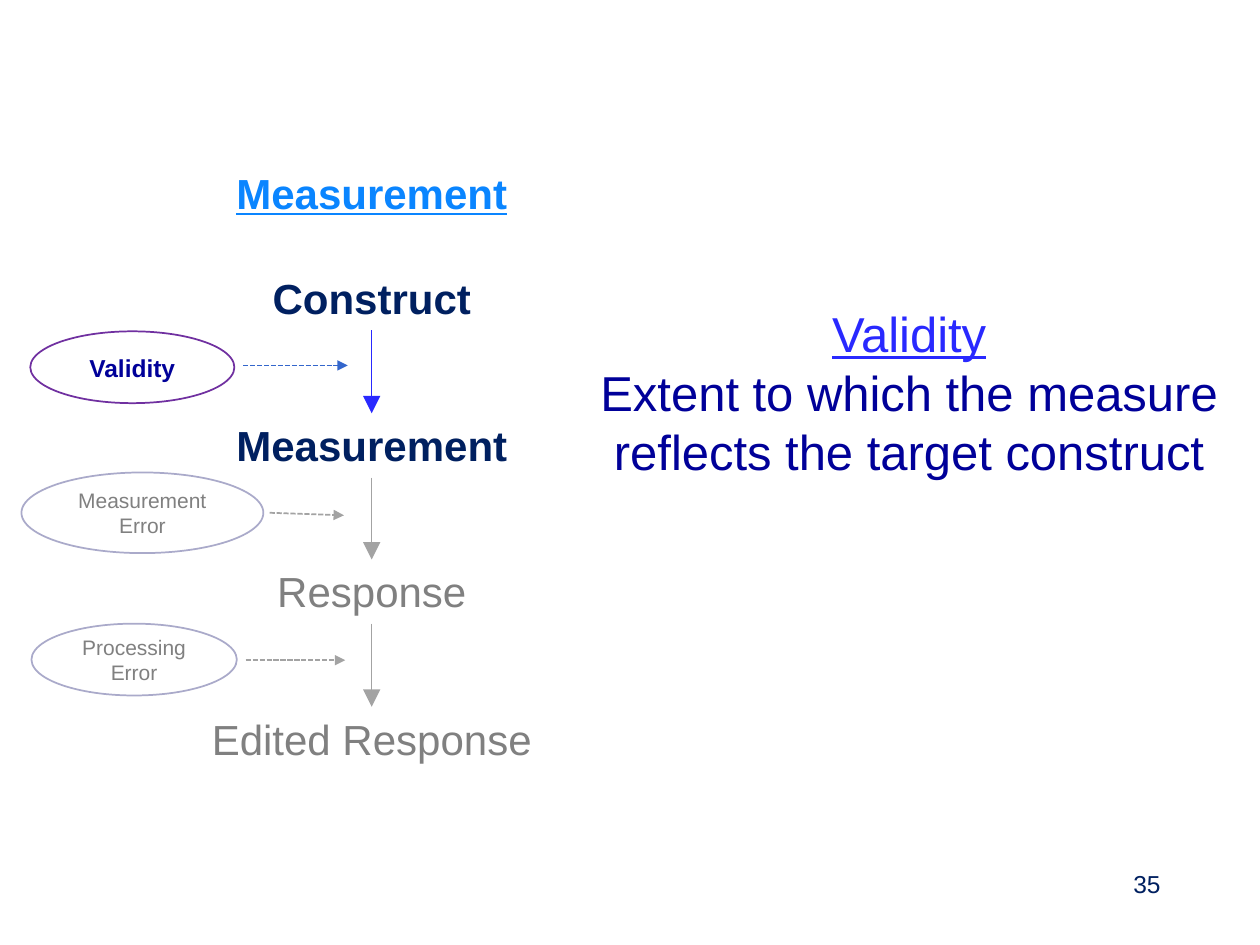
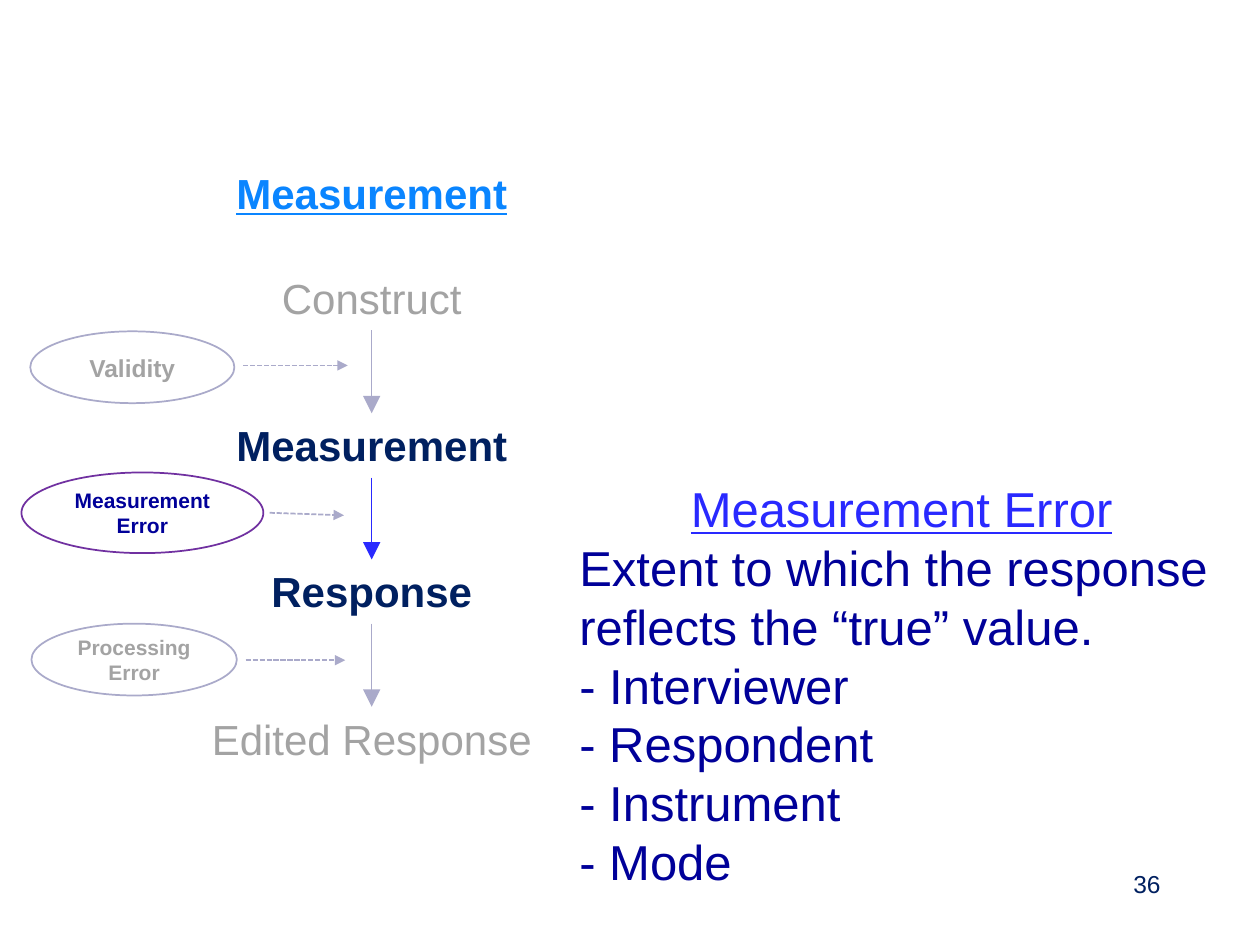
from pptx import Presentation
from pptx.dml.color import RGBColor
from pptx.enum.dml import MSO_LINE
from pptx.enum.shapes import MSO_CONNECTOR, MSO_SHAPE
from pptx.enum.text import MSO_ANCHOR, MSO_AUTO_SIZE, PP_ALIGN
from pptx.oxml.ns import qn
from pptx.util import Pt
from lxml.etree import SubElement

PX = 9144
FONT = "Arial"
COLORS = {
    "title": "0A85FF",
    "navy": "002060",
    "body": "000099",
    "accent": "2929FF",
    "purple": "7030A0",
    "blue": "3366CC",
    "lavender": "AAAACA",
    "gray": "808080",
    "silver": "A3A3A3",
    "white": "FFFFFF",
}

STEPS = ["Construct", "Measurement", "Response", "Edited Response"]
STEP_LEFT, STEP_TOP, STEP_WIDTH, STEP_HEIGHT = 144, 211, 302, 50
STEP_SPAN = 350
AXIS = STEP_LEFT + STEP_WIDTH // 2
ERRORS = [
    ("Validity", 14, (24, 263, 162, 57), (193, 290, 276, 290)),
    ("Measurement Error", 12, (17, 375, 192, 64), (214, 407, 273, 409)),
    ("Processing Error", 12, (25, 495, 163, 57), (195, 524, 274, 524)),
]


class Deck:
    def __init__(self, width, height):
        self.presentation = Presentation()
        self.presentation.slide_width = width * PX
        self.presentation.slide_height = height * PX
        self.slide = None

    def add_slide(self):
        self.slide = self.presentation.slides.add_slide(self.presentation.slide_layouts[6])

    def color(self, name):
        return RGBColor.from_string(COLORS[name])

    def format(self, paragraph, size, color, bold=False, underline=False, align=PP_ALIGN.CENTER):
        paragraph.alignment = align
        for run in paragraph.runs:
            font = run.font
            font.name = FONT
            font.size = Pt(size)
            font.bold = bold
            font.underline = underline
            font.color.rgb = self.color(color)

    def text(self, box, text, size, color, grow=True, **style):
        shape = self.slide.shapes.add_textbox(*[value * PX for value in box])
        frame = shape.text_frame
        frame.word_wrap = True
        frame.auto_size = MSO_AUTO_SIZE.SHAPE_TO_FIT_TEXT if grow else MSO_AUTO_SIZE.NONE
        frame.text = text
        for paragraph in frame.paragraphs:
            self.format(paragraph, size, color, **style)
        return frame

    def outline(self, kind, box, text, size, color, line, weight, anchor, bold):
        shape = self.slide.shapes.add_shape(kind, *[value * PX for value in box])
        shape.shadow.inherit = False
        shape.fill.background()
        shape.line.color.rgb = self.color(line)
        shape.line.width = Pt(weight)
        frame = shape.text_frame
        frame.word_wrap = True
        frame.vertical_anchor = anchor
        frame.text = text
        self.format(frame.paragraphs[0], size, color, bold)

    def step(self, top, text, color, bold):
        box = (STEP_LEFT, top, STEP_WIDTH, STEP_HEIGHT)
        self.outline(MSO_SHAPE.RECTANGLE, box, text, 24, color, "white", 0.75, MSO_ANCHOR.TOP, bold)

    def ellipse(self, box, text, size, color, line, bold):
        self.outline(MSO_SHAPE.OVAL, box, text, size, color, line, 1, MSO_ANCHOR.MIDDLE, bold)

    def arrow(self, points, color, weight, head, dashed=False):
        ends = [value * PX for value in points]
        connector = self.slide.shapes.add_connector(MSO_CONNECTOR.STRAIGHT, *ends)
        connector.line.color.rgb = self.color(color)
        connector.line.width = Pt(weight)
        if dashed:
            connector.line.dash_style = MSO_LINE.SQUARE_DOT
        line = connector.line._get_or_add_ln()
        SubElement(line, qn("a:tailEnd"), type="triangle", w=head, len=head)
        SubElement(connector._element.spPr, qn("a:effectLst"))

    def definition(self, box, heading, lines, align):
        frame = self.text(box, "\n".join([heading, *lines]), 28, "body", align=align)
        self.format(frame.paragraphs[0], 28, "accent", underline=True)


def build_measurement(deck, active, number, muted_step, muted_arrow, muted_error, dashes, bold_errors):
    deck.add_slide()
    deck.text((156, 128, 278, 50), "Measurement", 24, "title", bold=True, underline=True)

    tops = [STEP_TOP + round(STEP_SPAN * index / 3) for index in range(len(STEPS))]
    for index, (top, step) in enumerate(zip(tops, STEPS)):
        current = index in (active, active + 1)
        deck.step(top, step, "navy" if current else muted_step, current)
    for index, (top, following) in enumerate(zip(tops, tops[1:])):
        color = "accent" if index == active else muted_arrow
        deck.arrow((AXIS, top + STEP_HEIGHT + 1, AXIS, following), color, 0.75, "lg")

    deck.text((706, 685, 225, 40), str(number), 14, "navy", grow=False, align=PP_ALIGN.RIGHT)

    for index, (label, size, box, points) in enumerate(ERRORS):
        current = index == active
        color, line = ("body", "purple") if current else (muted_error, "lavender")
        deck.ellipse(box, label, size, color, line, current or bold_errors)
        deck.arrow(points, dashes[index], 1, "med", dashed=True)


def main():
    deck = Deck(1000, 750)

    build_measurement(deck, 0, 35, "gray", "silver", "gray", ["blue", "silver", "silver"], False)
    deck.definition(
        (456, 236, 531, 151),
        "Validity",
        ["Extent to which the measure reflects the target construct"],
        PP_ALIGN.CENTER,
    )

    build_measurement(deck, 1, 36, "silver", "lavender", "silver", ["lavender"] * 3, True)
    sources = ["Interviewer", "Respondent", "Instrument", "Mode"]
    deck.definition(
        (450, 375, 531, 340),
        "Measurement Error",
        ["Extent to which the response reflects the “true” value."]
        + [f"- {source}" for source in sources],
        PP_ALIGN.LEFT,
    )

    deck.presentation.save("out.pptx")


if __name__ == "__main__":
    main()
